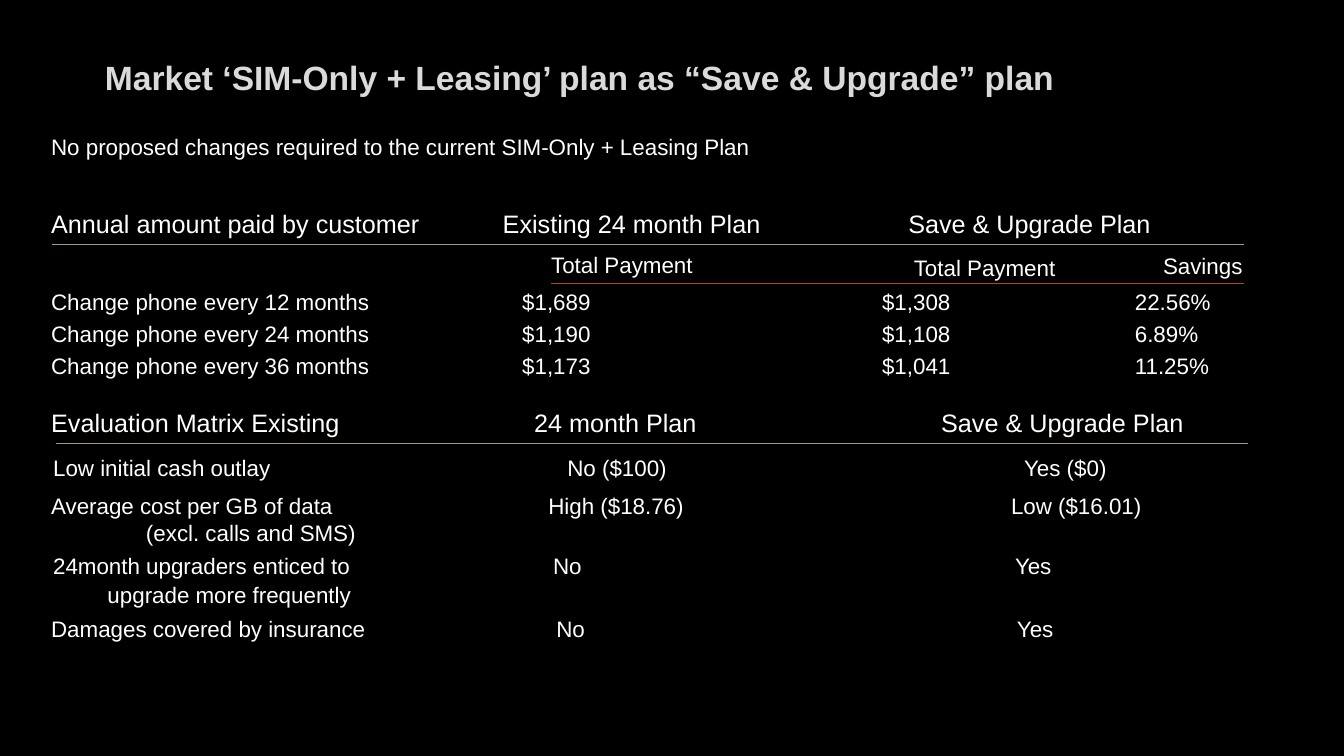
from lxml import etree
from pptx import Presentation
from pptx.dml.color import RGBColor
from pptx.enum import shapes, text
from pptx.oxml import ns
from pptx.util import Cm, Pt

COLOURS = {"background": "000000", "title": "DADADA", "body": "FFFFFF",
           "tan": "A59675", "rust": "B4421A"}
FONT = "Arial"
INSET = 0.25
LEFT, INDENTED = 1.04, 1.09
ROW_WIDTH = 30.9

TITLE = "Market ‘SIM-Only + Leasing’ plan as “Save & Upgrade” plan"
PAYMENT_COLUMNS = (13.16, 22.23, 28.6)

ROWS = [
    (LEFT, 5.13, 18, (12.67, 22.89),
     ("Annual amount paid by customer", "Existing 24 month Plan", "Save & Upgrade Plan")),
    (LEFT, 7.14, 16, PAYMENT_COLUMNS,
     ("Change phone every 12 months", "$1,689", "$1,308", "22.56%")),
    (LEFT, 7.95, 16, PAYMENT_COLUMNS,
     ("Change phone every 24 months", "$1,190", "$1,108", "6.89%")),
    (LEFT, 8.74, 16, PAYMENT_COLUMNS,
     ("Change phone every 36 months", "$1,173", "$1,041", "11.25%")),
    (LEFT, 10.13, 18, (13.46, 23.72),
     ("Evaluation Matrix Existing", "24 month Plan", "Save & Upgrade Plan")),
    (INDENTED, 11.33, 16, (14.3, 25.81),
     ("Low initial cash outlay", "No ($100)", "Yes ($0)")),
    (LEFT, 12.27, 16, (13.82, 25.48),
     ("Average cost per GB of data", "High ($18.76)", "Low ($16.01)")),
    (INDENTED, 13.79, 16, (13.94, 25.58),
     ("24month upgraders enticed to", "No", "Yes")),
    (LEFT, 15.37, 16, (14.02, 25.63),
     ("Damages covered by insurance", "No", "Yes")),
]

LABELS = [
    (LEFT, 3.23, 26.14, "No proposed changes required to the current SIM-Only + Leasing Plan"),
    (13.64, 6.2, 5.26, "Total Payment"),
    (22.78, 6.27, 5.26, "Total Payment"),
    (29.06, 6.22, 2.57, "Savings"),
    (3.43, 12.95, 7.14, "(excl. calls and SMS)"),
    (2.46, 14.53, 7.49, "upgrade more frequently"),
]

RULES = [
    (1.3, 31.34, 6.15, "tan"),
    (13.89, 31.34, 7.14, "rust"),
    (1.42, 31.45, 11.18, "tan"),
]


def colour(name):
    return RGBColor.from_string(COLOURS[name])


def add_text(slide, left, top, width, height, words, size, tone="body", bold=False):
    shape = slide.shapes.add_textbox(Cm(left), Cm(top), Cm(width), Cm(height))
    frame = shape.text_frame
    frame.word_wrap = True
    frame.text = words
    paragraph = frame.paragraphs[0]
    font = paragraph.runs[0].font
    font.name, font.size, font.bold = FONT, Pt(size), bold
    font.color.rgb = colour(tone)
    return shape


def add_row(slide, left, top, size, columns, cells):
    height = 1.02 if size == 18 else 0.94
    shape = add_text(slide, left, top, ROW_WIDTH, height, "\t".join(cells), size)
    properties = shape.text_frame.paragraphs[0]._p.get_or_add_pPr()
    stops = etree.SubElement(properties, ns.qn("a:tabLst"))
    for column in columns:
        stop = etree.SubElement(stops, ns.qn("a:tab"))
        stop.set("pos", str(Cm(column - left - INSET)))
        stop.set("algn", "l")


def add_rule(slide, start, end, height, tone):
    line = slide.shapes.add_connector(
        shapes.MSO_CONNECTOR.STRAIGHT, Cm(start), Cm(height), Cm(end), Cm(height))
    line.line.color.rgb = colour(tone)
    line.line.width = Pt(0.75)
    etree.SubElement(line._element.spPr, ns.qn("a:effectLst"))


def main():
    presentation = Presentation()
    presentation.slide_width, presentation.slide_height = Cm(33.87), Cm(19.05)
    slide = presentation.slides.add_slide(presentation.slide_layouts[6])
    slide.background.fill.solid()
    slide.background.fill.fore_color.rgb = colour("background")

    title = add_text(slide, 0, 1.12, 29.21, 1.63, TITLE, 24, "title", True)
    title.text_frame.vertical_anchor = text.MSO_ANCHOR.MIDDLE
    title.text_frame.paragraphs[0].alignment = text.PP_ALIGN.CENTER

    for row in ROWS:
        add_row(slide, *row)
    for left, top, width, words in LABELS:
        add_text(slide, left, top, width, 0.94, words, 16)
    for rule in RULES:
        add_rule(slide, *rule)
    presentation.save("out.pptx")


if __name__ == "__main__":
    main()
